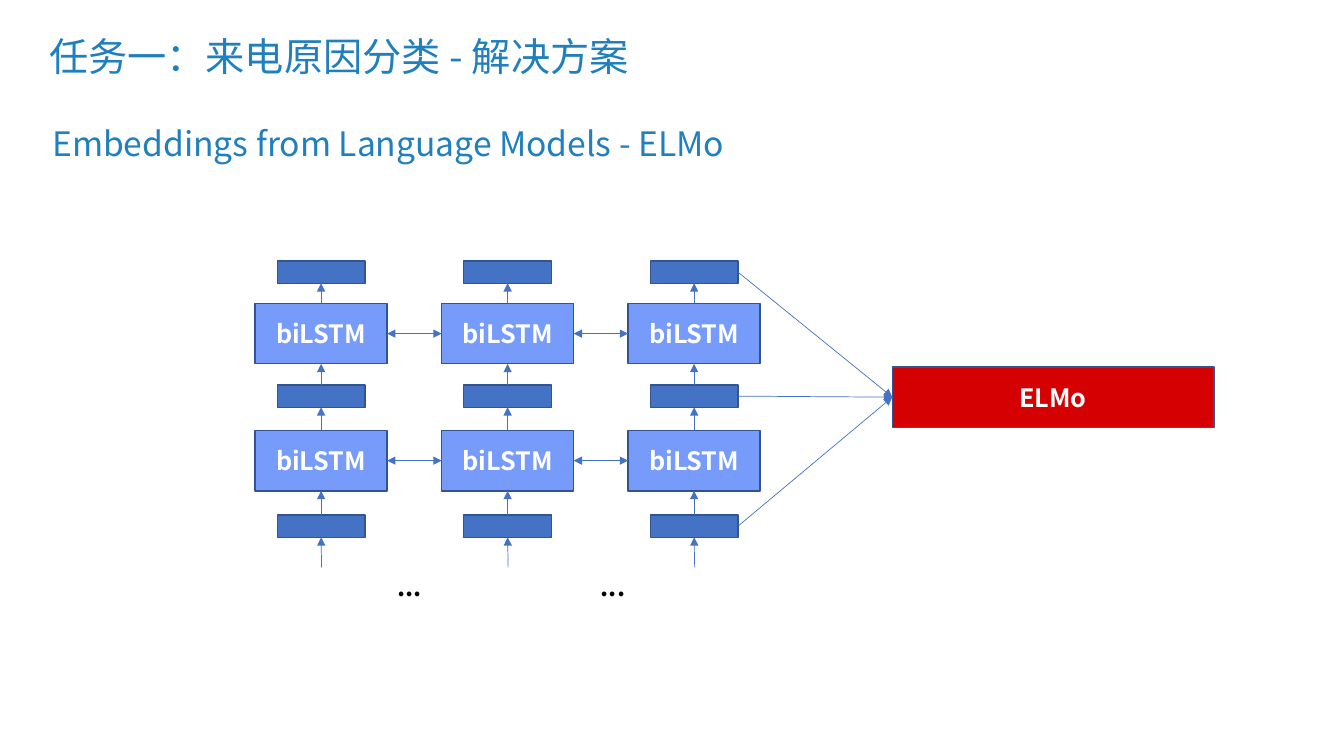
import pptx
import pptx.util
import pptx.dml.color
import pptx.enum.shapes
import pptx.enum.text
import pptx.oxml
import pptx.oxml.ns

RGB = pptx.dml.color.RGBColor
ALIGN = pptx.enum.text.PP_ALIGN
ANCHOR = pptx.enum.text.MSO_ANCHOR
FIT = pptx.enum.text.MSO_AUTO_SIZE

# Content
TITLE = "任务一：来电原因分类 - 解决方案"
HEADING = "Embeddings from Language Models - ELMo"
CELL = "biLSTM"
RESULT = "ELMo"
DOTS = "..."

# Layout in px, 100 to the inch
PX = 9144
WIDTH, HEIGHT = 1333, 750
COLS, PITCH = 3, 185
MID = 319
START = 563
BAR = (87, 22)
BOX = (131, 60)
# Each layer of a column from the bottom up: kind, top
LAYERS = [("bar", 511), ("cell", 427), ("bar", 382), ("cell", 301), ("bar", 259)]
DOT_LEFTS = (384, 586)
TOP, LEFT, BOTTOM, RIGHT = range(4)

FONT = "Noto Sans CJK SC"
TEAL = RGB(0x20, 0x80, 0xBD)
BLUE = RGB(0x44, 0x72, 0xC4)
SKY = RGB(0x77, 0x9B, 0xFA)
NAVY = RGB(0x32, 0x54, 0x91)
RED = RGB(0xD5, 0x00, 0x02)
WHITE = RGB(0xFF, 0xFF, 0xFF)
BLACK = RGB(0x00, 0x00, 0x00)


def put_text(shape, text, size=18, color=WHITE, bold=False, align=ALIGN.LEFT,
             anchor=ANCHOR.TOP, wrap=True, grow=False, space=None):
    frame = shape.text_frame
    frame.word_wrap = wrap
    frame.vertical_anchor = anchor
    frame.auto_size = FIT.SHAPE_TO_FIT_TEXT if grow else FIT.NONE
    para = frame.paragraphs[0]
    para.alignment = align
    if space:
        para.line_spacing = space
    run = para.add_run()
    run.text = text
    font = run.font
    font.size = pptx.util.Pt(size)
    font.bold = bold
    font.name = FONT
    font.color.rgb = color
    # East Asian text takes its typeface from a:ea
    face = pptx.oxml.parse_xml(
        f'<a:ea {pptx.oxml.ns.nsdecls("a")} typeface="{FONT}"/>')
    font._element.append(face)


def add_box(slide, left, top, size, fill, text=None):
    shape = slide.shapes.add_shape(
        pptx.enum.shapes.MSO_SHAPE.RECTANGLE,
        *(v * PX for v in (left, top, *size)))
    shape.shadow.inherit = False
    shape.fill.solid()
    shape.fill.fore_color.rgb = fill
    shape.line.color.rgb = NAVY
    shape.line.width = pptx.util.Pt(1)
    if text:
        put_text(shape, text, bold=True, align=ALIGN.CENTER, anchor=ANCHOR.MIDDLE)
    return shape


def add_label(slide, left, top, width, height, text, **style):
    box = slide.shapes.add_textbox(*(v * PX for v in (left, top, width, height)))
    put_text(box, text, **style)


def add_arrow(slide, start, end, both=False):
    """Join two (shape, side) ends; start may also be a free (x, y) point in px."""
    free = isinstance(start[0], int)
    x, y = (v * PX for v in start) if free else (0, 0)
    line = slide.shapes.add_connector(
        pptx.enum.shapes.MSO_CONNECTOR.STRAIGHT, x, y, x, y)
    if not free:
        line.begin_connect(*start)
    line.end_connect(*end)
    line.line.color.rgb = BLUE
    line.line.width = pptx.util.Pt(0.5)
    space = pptx.oxml.ns.nsdecls("a")
    for tag in ("headEnd", "tailEnd") if both else ("tailEnd",):
        line.line._get_or_add_ln().append(
            pptx.oxml.parse_xml(f'<a:{tag} {space} type="triangle"/>'))
    line._element.spPr.append(pptx.oxml.parse_xml(f"<a:effectLst {space}/>"))


def add_stack(slide, mid):
    """Draw one column of bars and cells, joined upwards."""
    stack = []
    for kind, top in LAYERS:
        size, fill, text = (BAR, BLUE, None) if kind == "bar" else (BOX, SKY, CELL)
        stack.append(add_box(slide, mid - size[0] // 2 - 1, top, size, fill, text))
    add_arrow(slide, (mid, START), (stack[0], BOTTOM))
    for low, high in zip(stack, stack[1:]):
        add_arrow(slide, (low, TOP), (high, BOTTOM))
    return stack


def main():
    deck = pptx.Presentation()
    deck.slide_width, deck.slide_height = WIDTH * PX, HEIGHT * PX
    slide = deck.slides.add_slide(deck.slide_layouts[6])

    add_label(slide, 39, 29, 1150, 59, TITLE, size=28, color=TEAL,
              anchor=ANCHOR.MIDDLE, space=0.9)
    add_label(slide, 42, 117, 730, 50, HEADING, size=24, color=TEAL,
              wrap=False, grow=True)

    stacks = [add_stack(slide, MID + PITCH * col) for col in range(COLS)]
    for near, far in zip(stacks, stacks[1:]):
        for (kind, _), one, two in zip(LAYERS, near, far):
            if kind == "cell":
                add_arrow(slide, (one, RIGHT), (two, LEFT), both=True)

    result = add_box(slide, 885, 364, (319, 60), RED, RESULT)
    for (kind, _), shape in zip(LAYERS, stacks[-1]):
        if kind == "bar":
            add_arrow(slide, (shape, RIGHT), (result, LEFT))

    for left in DOT_LEFTS:
        add_label(slide, left, 562, 71, 40, DOTS, color=BLACK, bold=True, grow=True)
    deck.save("out.pptx")


if __name__ == "__main__":
    main()
